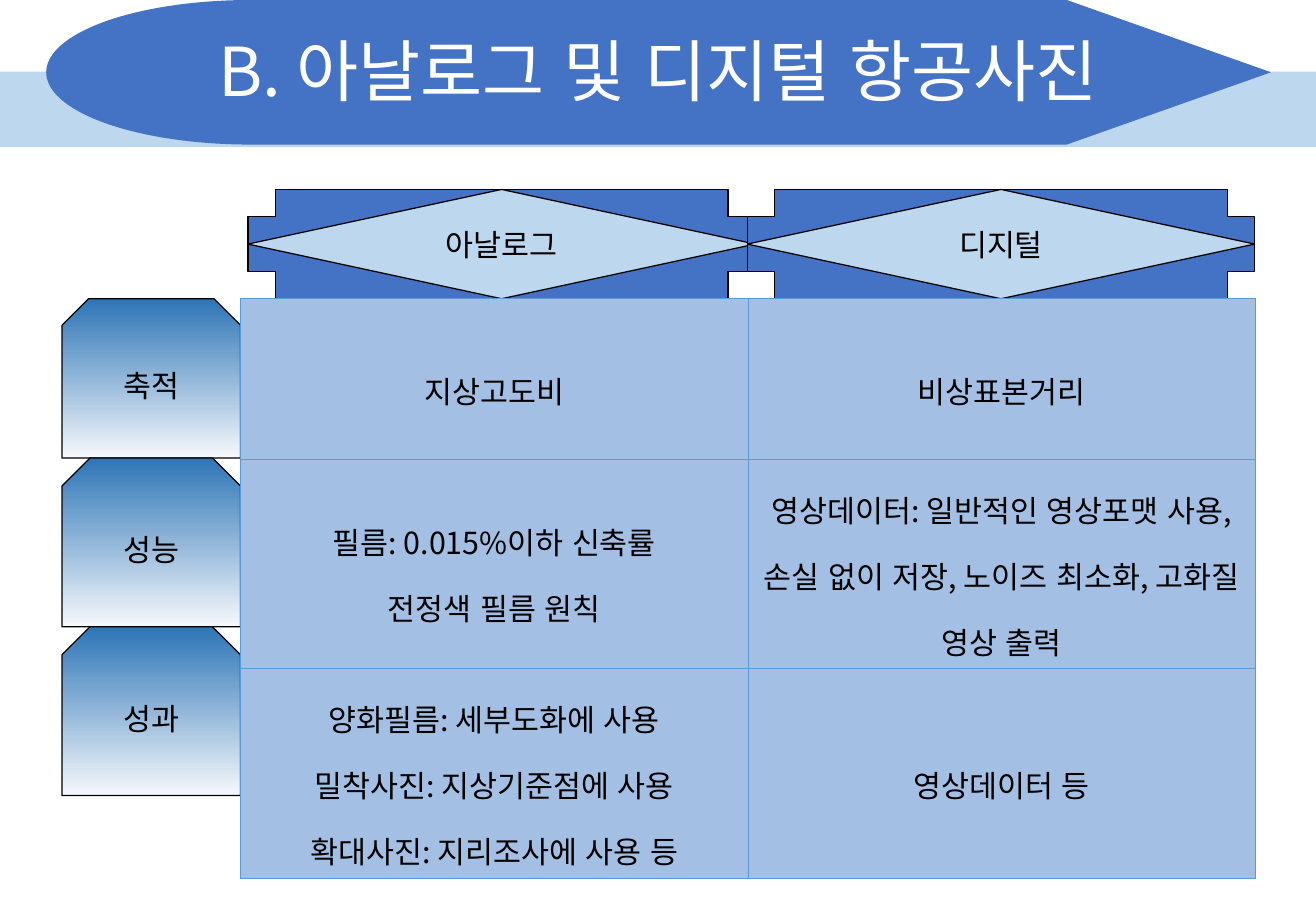
from itertools import accumulate

from lxml.etree import SubElement
from pptx import Presentation
from pptx.dml.color import RGBColor
from pptx.enum.lang import MSO_LANGUAGE_ID as LANG
from pptx.enum.shapes import MSO_SHAPE as SHAPE
from pptx.enum.text import MSO_ANCHOR as ANCHOR, PP_ALIGN as ALIGN
from pptx.oxml.ns import qn
from pptx.util import Inches, Pt

# Content
TITLE = "B. 아날로그 및 디지털 항공사진"
COLUMNS = ["아날로그", "디지털"]
ROWS = [
    ("축적", "지상고도비", "비상표본거리"),
    ("성능", "필름: 0.015%이하 신축률\n전정색 필름 원칙",
     "영상데이터: 일반적인 영상포맷 사용, 손실 없이 저장, 노이즈 최소화, 고화질 영상 출력"),
    ("성과", "양화필름: 세부도화에 사용\n밀착사진: 지상기준점에 사용\n확대사진: 지리조사에 사용 등",
     "영상데이터 등"),
]

# Format and grid, in inches
FONT = "Noto Sans CJK KR"
BLUE, PALE, CELL, BORDER = "4472C4", "BDD7EE", "A3C0E4", "5B9BD5"
BLACK, WHITE = "000000", "FFFFFF"
LABEL_GRADIENT = ("2E75B6", "F6F8FC")
WIDTH, HEIGHT = 10.83, 7.5
LABEL_LEFT, TABLE_LEFT, TABLE_TOP = 0.51, 1.98, 2.46
TABLE_W = 8.35
COL_W = TABLE_W / len(COLUMNS)
LABEL_H = [1.31, 1.39, 1.39]
ROW_H = [1.32, 1.72, 1.73]
HEAD_TOP, HEAD_H = 1.56, 0.9
HEAD_LEFT, HEAD_STEP = 2.04, 4.11


def color(value):
    return RGBColor.from_string(value)


def write(tf, text, size=18, ink=BLACK, spacing=1.0):
    tf.word_wrap = True
    p = tf.paragraphs[0]
    p.text = text
    for name, value in {"alignment": ALIGN.CENTER, "line_spacing": spacing}.items():
        setattr(p, name, value)
    font_format = {"name": FONT, "size": Pt(size), "language_id": LANG.KOREAN}
    for r in p.runs:
        for name, value in font_format.items():
            setattr(r.font, name, value)
        r.font.color.rgb = color(ink)
        SubElement(r.font._element, qn("a:ea"), typeface=FONT)


def add_shape(kind, box, fill, line=BLACK, text=None):
    sp = slide.shapes.add_shape(kind, *map(Inches, box))
    sp.shadow.inherit = False
    if isinstance(fill, tuple):
        sp.fill.gradient()
        sp.fill.gradient_angle = 270
        for stop, value in zip(sp.fill.gradient_stops, fill):
            stop.color.rgb = color(value)
    else:
        sp.fill.solid()
        sp.fill.fore_color.rgb = color(fill)
    if line:
        sp.line.color.rgb = color(line)
        sp.line.width = Pt(0.75)
    else:
        sp.line.fill.background()
    if text:
        sp.text_frame.vertical_anchor = ANCHOR.MIDDLE
        write(sp.text_frame, text)
    return sp


def format_cell(cell, text):
    cell.vertical_anchor = ANCHOR.MIDDLE
    write(cell.text_frame, text, spacing=1.5)
    tcPr = cell._tc.get_or_add_tcPr()
    for side in ("a:lnL", "a:lnR", "a:lnT", "a:lnB"):
        ln = SubElement(tcPr, qn(side), w=str(Pt(0.5)))
        SubElement(SubElement(ln, qn("a:solidFill")), qn("a:srgbClr"), val=BORDER)
    cell.fill.solid()
    cell.fill.fore_color.rgb = color(CELL)


prs = Presentation()
prs.slide_width, prs.slide_height = Inches(WIDTH), Inches(HEIGHT)
slide = prs.slides.add_slide(prs.slide_layouts[6])

# Title banner
add_shape(SHAPE.RECTANGLE, (0, 0.59, WIDTH, 0.62), PALE, None)
banner = add_shape(SHAPE.FLOWCHART_DISPLAY, (0.38, 0, 10.08, 1.19), BLUE, None)
banner._element.spPr.xfrm.set("flipH", "1")
title = slide.shapes.add_textbox(*map(Inches, (0, 0.02, WIDTH, 1.19)))
title.text_frame.vertical_anchor = ANCHOR.MIDDLE
write(title.text_frame, TITLE, 40, WHITE, 0.9)

# Column heads
for i, name in enumerate(COLUMNS):
    box = (HEAD_LEFT + i * HEAD_STEP, HEAD_TOP, COL_W, HEAD_H)
    add_shape(SHAPE.CROSS, box, BLUE)
    add_shape(SHAPE.DIAMOND, box, PALE, text=name)

# Row labels
for (label, *_), top, height in zip(ROWS, accumulate(LABEL_H, initial=TABLE_TOP), LABEL_H):
    add_shape(SHAPE.SNIP_2_SAME_RECTANGLE, (LABEL_LEFT, top, TABLE_LEFT - LABEL_LEFT, height),
              LABEL_GRADIENT, text=label)

# Comparison table
frame = slide.shapes.add_table(len(ROWS), len(COLUMNS), *map(
    Inches, (TABLE_LEFT, TABLE_TOP, TABLE_W, sum(ROW_H))))
table = frame.table
table.first_row = table.horz_banding = False
for col in table.columns:
    col.width = Inches(COL_W)
for i, (_, *texts) in enumerate(ROWS):
    table.rows[i].height = Inches(ROW_H[i])
    for j, text in enumerate(texts):
        format_cell(table.cell(i, j), text)

prs.save("out.pptx")
